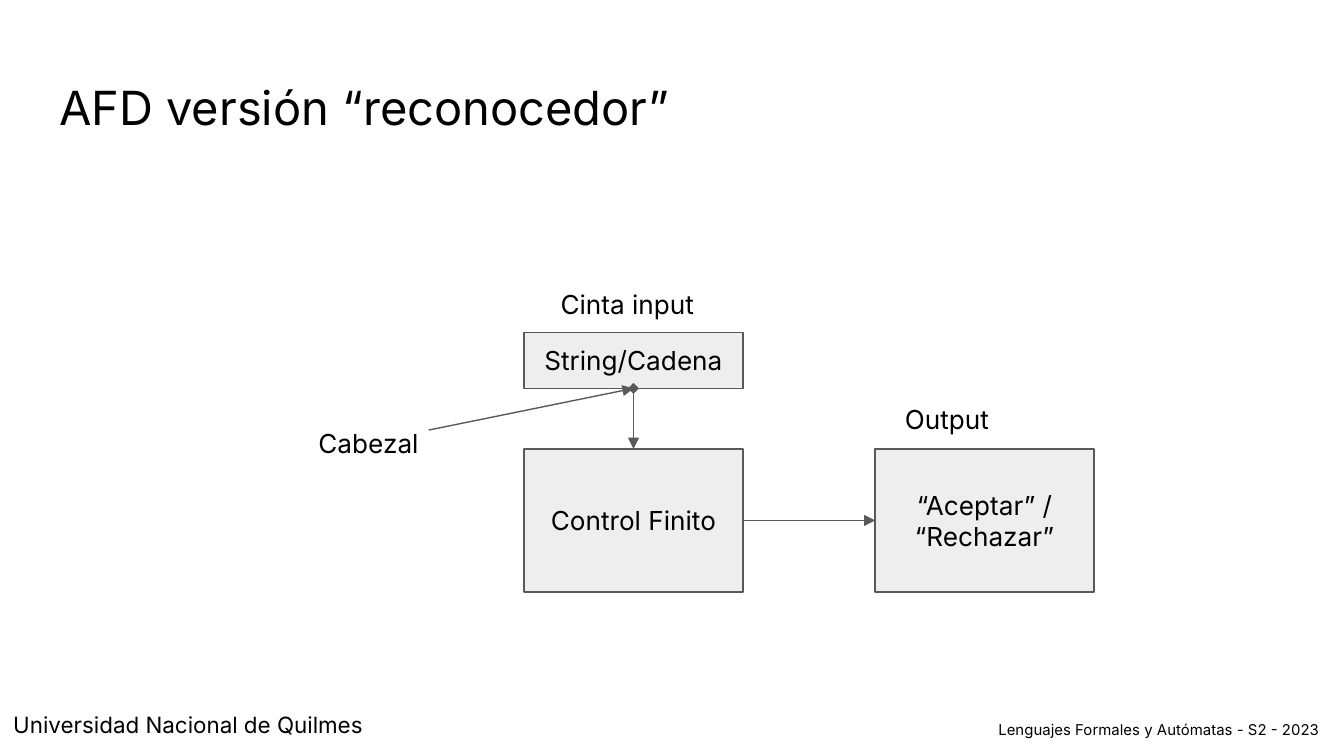
import pptx
import pptx.util
import pptx.dml.color
import pptx.enum.shapes
import pptx.enum.text
import pptx.oxml
import pptx.oxml.ns

COLS, ROWS = 100, 56.25
CELL = pptx.util.Inches(0.1)
FONT = "Inter"
HUES = {"ink": "000000", "fill": "EEEEEE", "line": "595959", "page": "FFFFFF"}
ALIGN = pptx.enum.text.PP_ALIGN
ANCHOR = pptx.enum.text.MSO_ANCHOR


def hue(name):
    return pptx.dml.color.RGBColor.from_string(HUES[name])


def grid(*cells):
    return [round(cell * CELL) for cell in cells]


def write(shape, text, size, align=ALIGN.LEFT, anchor=ANCHOR.TOP):
    frame = shape.text_frame
    frame.word_wrap = True
    frame.auto_size = pptx.enum.text.MSO_AUTO_SIZE.NONE
    frame.vertical_anchor = anchor
    frame.margin_left = frame.margin_right = CELL
    frame.margin_top = frame.margin_bottom = CELL
    para = frame.paragraphs[0]
    para.alignment = align
    run = para.add_run()
    run.text = text
    run.font.name = FONT
    run.font.size = pptx.util.Pt(size)
    run.font.color.rgb = hue("ink")
    return para


def label(slide, box, text, size=14):
    return write(slide.shapes.add_textbox(*grid(*box)), text, size)


def block(slide, box, text):
    kind = pptx.enum.shapes.MSO_SHAPE.RECTANGLE
    shape = slide.shapes.add_shape(kind, *grid(*box))
    shape.shadow.inherit = False
    shape.fill.solid()
    shape.fill.fore_color.rgb = hue("fill")
    shape.line.color.rgb = hue("line")
    shape.line.width = pptx.util.Pt(0.75)
    write(shape, text, 14, ALIGN.CENTER, ANCHOR.MIDDLE)
    return shape


def arrow(slide, start, end, head=None):
    kind = pptx.enum.shapes.MSO_CONNECTOR.STRAIGHT
    line = slide.shapes.add_connector(kind, 0, 0, 0, 0)
    if isinstance(start[0], (int, float)):
        line.begin_x, line.begin_y = grid(*start)
    else:
        line.begin_connect(*start)
    line.end_connect(*end)
    line.line.color.rgb = hue("line")
    line.line.width = pptx.util.Pt(0.75)
    props = line.element.spPr
    edge = props.find(pptx.oxml.ns.qn("a:ln"))
    for tag, tip in (("headEnd", head), ("tailEnd", "triangle")):
        if tip:
            mark = pptx.oxml.parse_xml(
                f'<a:{tag} {pptx.oxml.ns.nsdecls("a")} type="{tip}"/>')
            edge.append(mark)
    props.append(pptx.oxml.parse_xml(
        f'<a:effectLst {pptx.oxml.ns.nsdecls("a")}/>'))


def header(slide, box):
    title = slide.shapes.title
    title.left, title.top, title.width, title.height = grid(*box)
    write(title, "AFD versión “reconocedor”", 25.2)


def footer(slide, box):
    left, top, wide, high = box
    para = label(slide, (left, top, 34.9, high),
                 "Universidad Nacional de Quilmes", 12)
    para.line_spacing = 0.9
    para.space_after = pptx.util.Pt(12)
    label(slide, (left + wide - 26.7, top + 0.5, 26.7, 3.2),
          "Lenguajes Formales y Autómatas - S2 - 2023", 8)


def diagram(slide, box):
    left, top, wide, high = box
    width, tall = 16.28, 10.65
    mid = left + 16.3
    last = left + wide - width
    base = top + high - tall
    tape = block(slide, (mid, top + 4.3, width, 4.15), "String/Cadena")
    state = block(slide, (mid, base, width, tall), "Control Finito")
    result = block(slide, (last, base, width, tall), "“Aceptar” / “Rechazar”")
    arrow(slide, (tape, 2), (state, 0), "diamond")
    arrow(slide, (state, 3), (result, 1))
    arrow(slide, (left + 9.2, top + 11.55), (tape, 2))
    for across, down, text in (
        (43.65, 8.55, "Output"),
        (0, 10.35, "Cabezal"),
        (18.02, 0, "Cinta input"),
    ):
        label(slide, (left + across, top + down, 13.8, 5.6), text)


def main():
    deck = pptx.Presentation()
    deck.slide_width, deck.slide_height = grid(COLS, ROWS)
    slide = deck.slides.add_slide(deck.slide_layouts[5])
    slide.background.fill.solid()
    slide.background.fill.fore_color.rgb = hue("page")
    header(slide, (3.4, 4.87, COLS - 6.8, 6.3))
    footer(slide, (0, ROWS - 4.1, COLS, 4.1))
    diagram(slide, (22.7, 20.45, 58.7, 23.6))
    deck.save("out.pptx")


if __name__ == "__main__":
    main()
